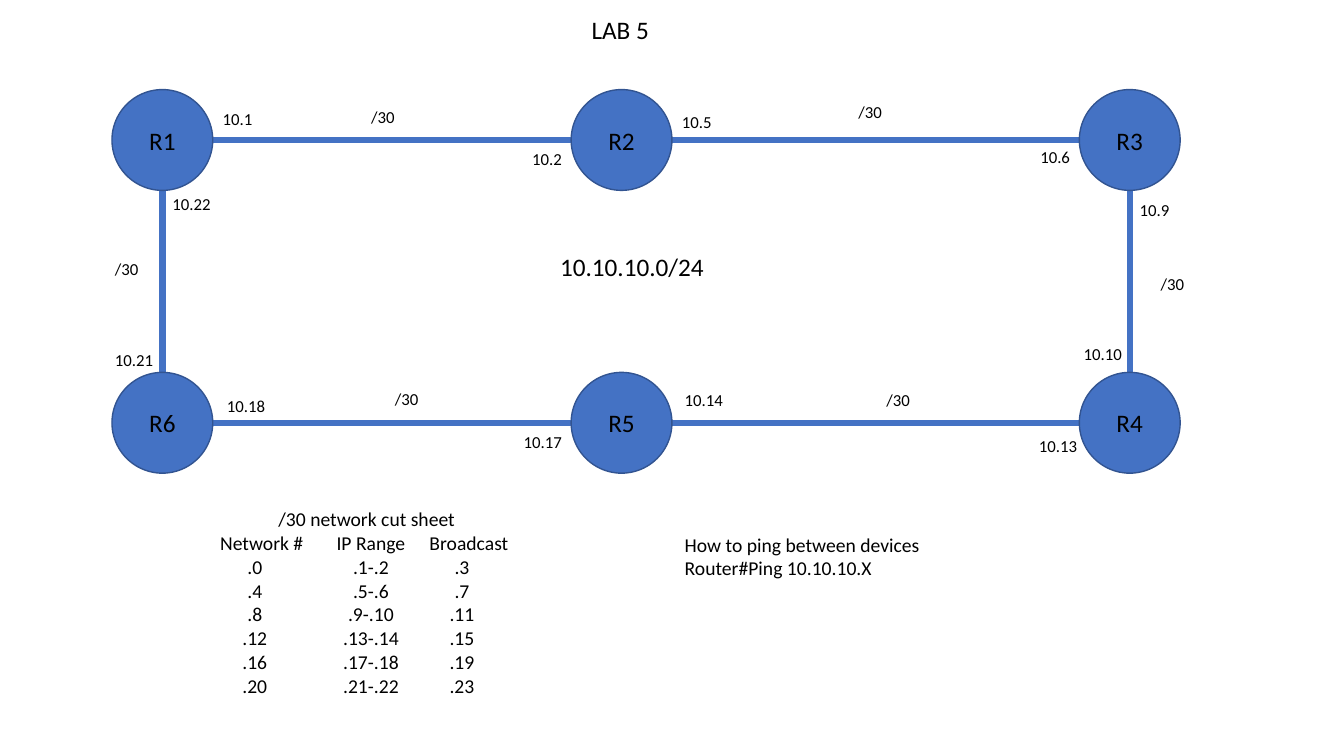
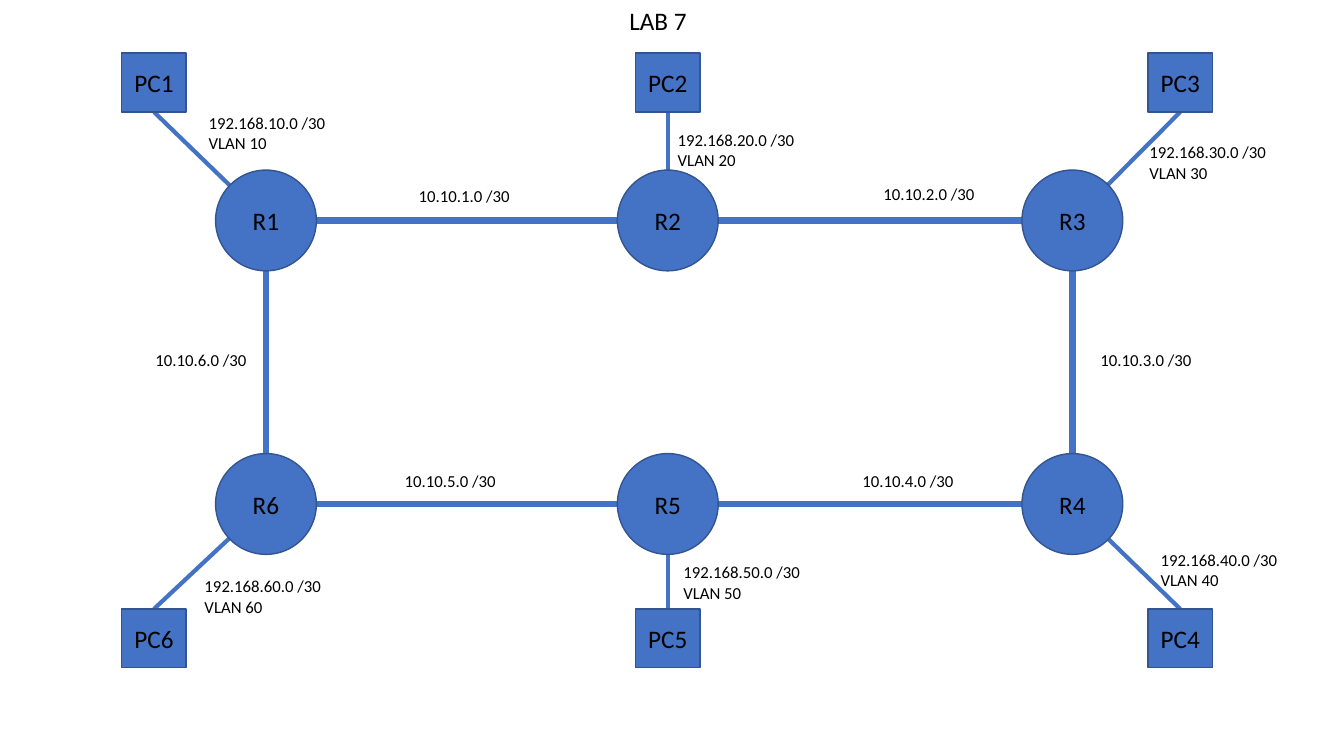
import dataclasses
import math

import lxml.etree
import pptx
import pptx.dml.color
import pptx.enum.shapes
import pptx.enum.text
import pptx.oxml.ns
import pptx.util

Pt = pptx.util.Pt
Color = pptx.dml.color.RGBColor
Shape = pptx.enum.shapes.MSO_SHAPE
Align = pptx.enum.text.PP_ALIGN


@dataclasses.dataclass(frozen=True)
class Theme:
    font = "Calibri"
    ink = Color.from_string("000000")
    blue = Color.from_string("4472C4")
    outline = Color.from_string("325491")
    large = 18
    medium = 14
    small = 12
    trunk = 4.5
    branch = 3


theme = Theme()


def write(frame, lines, size, align):
    for index, line in enumerate(lines):
        para = frame.paragraphs[0] if index == 0 else frame.add_paragraph()
        para.text = line
        para.alignment = align
        para.font.name = theme.font
        para.font.size = Pt(size)
        para.font.color.rgb = theme.ink
        para.font.bold = False


def add_label(page, lines, left, top, width, size):
    height = len(lines) * size * 1.2 + 7.2
    box = page.shapes.add_textbox(Pt(left), Pt(top), Pt(width), Pt(height))
    box.text_frame.word_wrap = True
    write(box.text_frame, lines, size, Align.LEFT)


deck = pptx.Presentation()
deck.slide_width = Pt(960)
deck.slide_height = Pt(540)

router_size = 72
pc_width, pc_height = 46, 42
title_width, title_height = 60, 29

labs = [
    {"title": "LAB 5", "title_at": (443, 6.5),
     "router_grid": ((116, 444, 807), (100, 302)), "pc_grid": None},
    {"title": "LAB 7", "title_at": (470, 0),
     "router_grid": ((190, 477, 766), (157.5, 360)),
     "pc_grid": ((110, 477, 843), (59, 456))},
]
pages = []

for lab in labs:
    page = deck.slides.add_slide(deck.slide_layouts[5])
    pages.append(page)
    title = page.shapes.title
    center, top = lab["title_at"]
    title.left, title.top = Pt(center - title_width / 2), Pt(top)
    title.width, title.height = Pt(title_width), Pt(title_height)
    title.text_frame.word_wrap = False
    title.text_frame.vertical_anchor = pptx.enum.text.MSO_ANCHOR.MIDDLE
    write(title.text_frame, [lab["title"]], theme.large, Align.CENTER)

    rings = []
    for grid in (lab["router_grid"], lab["pc_grid"]):
        ring = []
        if grid:
            columns, (upper, lower) = grid
            ring = [(x, upper) for x in columns] + [(x, lower) for x in reversed(columns)]
        rings.append(ring)
    routers, pcs = rings

    radius = router_size / 2
    links = [(start, end, radius, theme.trunk)
             for start, end in zip(routers, routers[1:] + routers[:1])]
    for (x, y), router in zip(pcs, routers):
        edge = y + math.copysign(pc_height / 2, router[1] - y)
        links.append(((x, edge), router, 0, theme.branch))

    for start, end, start_trim, width in links:
        length = math.dist(start, end)
        step_x = (end[0] - start[0]) / length
        step_y = (end[1] - start[1]) / length
        line = page.shapes.add_connector(
            pptx.enum.shapes.MSO_CONNECTOR.STRAIGHT,
            Pt(start[0] + step_x * start_trim), Pt(start[1] + step_y * start_trim),
            Pt(end[0] - step_x * radius), Pt(end[1] - step_y * radius))
        line.line.color.rgb = theme.blue
        line.line.width = Pt(width)
        properties = line._element.spPr
        lxml.etree.SubElement(properties, pptx.oxml.ns.qn("a:effectLst"))

    for prefix, kind, width, height, ring in (
            ("R", Shape.OVAL, router_size, router_size, routers),
            ("PC", Shape.RECTANGLE, pc_width, pc_height, pcs)):
        for number, (x, y) in enumerate(ring, 1):
            node = page.shapes.add_shape(
                kind, Pt(x - width / 2), Pt(y - height / 2), Pt(width), Pt(height))
            node.shadow.inherit = False
            node.fill.solid()
            node.fill.fore_color.rgb = theme.blue
            node.line.color.rgb = theme.outline
            node.line.width = Pt(1)
            node.text_frame.word_wrap = False
            write(node.text_frame, [f"{prefix}{number}"], theme.large, Align.CENTER)

subnet_page, vlan_page = pages

subnet_places = [
    ((152, 74), (258, 73), (373, 103)),
    ((480, 76), (606, 69), (736, 101)),
    ((807, 139), (822, 192), (767, 242)),
    ((735, 308), (626, 275), (482, 275)),
    ((367, 305), (275, 274), (155, 279)),
    ((75, 246), (75, 181), (116, 135)),
]
cut_sheet = [("/30 network cut sheet", "", ""), ("Network #", "IP Range", "Broadcast")]
for index, places in enumerate(subnet_places):
    network = 4 * index
    first, last, broadcast = network + 1, network + 2, network + 3
    cut_sheet.append((f".{network}", f".{first}-.{last}", f".{broadcast}"))
    for text, (left, top) in zip((f"10.{first}", "/30", f"10.{last}"), places):
        add_label(subnet_page, [text], left, top, 46, theme.small)

add_label(subnet_page, ["10.10.10.0/24"], 393, 176, 120, theme.large)
add_label(subnet_page, ["How to ping between devices", "Router#Ping 10.10.10.X"],
          482, 377, 190, theme.medium)

column_widths = (78, 78, 62)
row_height = 17
table = subnet_page.shapes.add_table(
    len(cut_sheet), len(column_widths), Pt(148), Pt(363),
    Pt(sum(column_widths)), Pt(row_height * len(cut_sheet))).table
table.first_row = False
table.horz_banding = False
for column, width in zip(table.columns, column_widths):
    column.width = Pt(width)
for row_index, row in enumerate(cut_sheet):
    table.rows[row_index].height = Pt(row_height)
    for column_index, text in enumerate(row):
        cell = table.cell(row_index, column_index)
        cell.fill.background()
        cell.margin_left = cell.margin_top = cell.margin_bottom = 0
        is_outer_value = row_index > 1 and column_index != 1
        cell.margin_right = Pt(10 if is_outer_value else 0)
        write(cell.text_frame, [text], theme.medium, Align.CENTER)
caption = table.cell(0, 0)
caption.merge(table.cell(0, 2))
caption.margin_left = Pt(10)

trunk_places = [(292, 129), (624, 128), (779, 246), (609, 333), (282, 333), (104, 246)]
vlan_places = [(142, 77), (477, 89), (814, 98), (822, 389), (481, 398), (139, 408)]
for number, (trunk_place, vlan_place) in enumerate(zip(trunk_places, vlan_places), 1):
    add_label(vlan_page, [f"10.10.{number}.0 /30"], *trunk_place, 102, theme.small)
    add_label(vlan_page, [f"192.168.{number}0.0 /30", f"VLAN {number}0"],
              *vlan_place, 102, theme.small)

deck.save("out.pptx")
